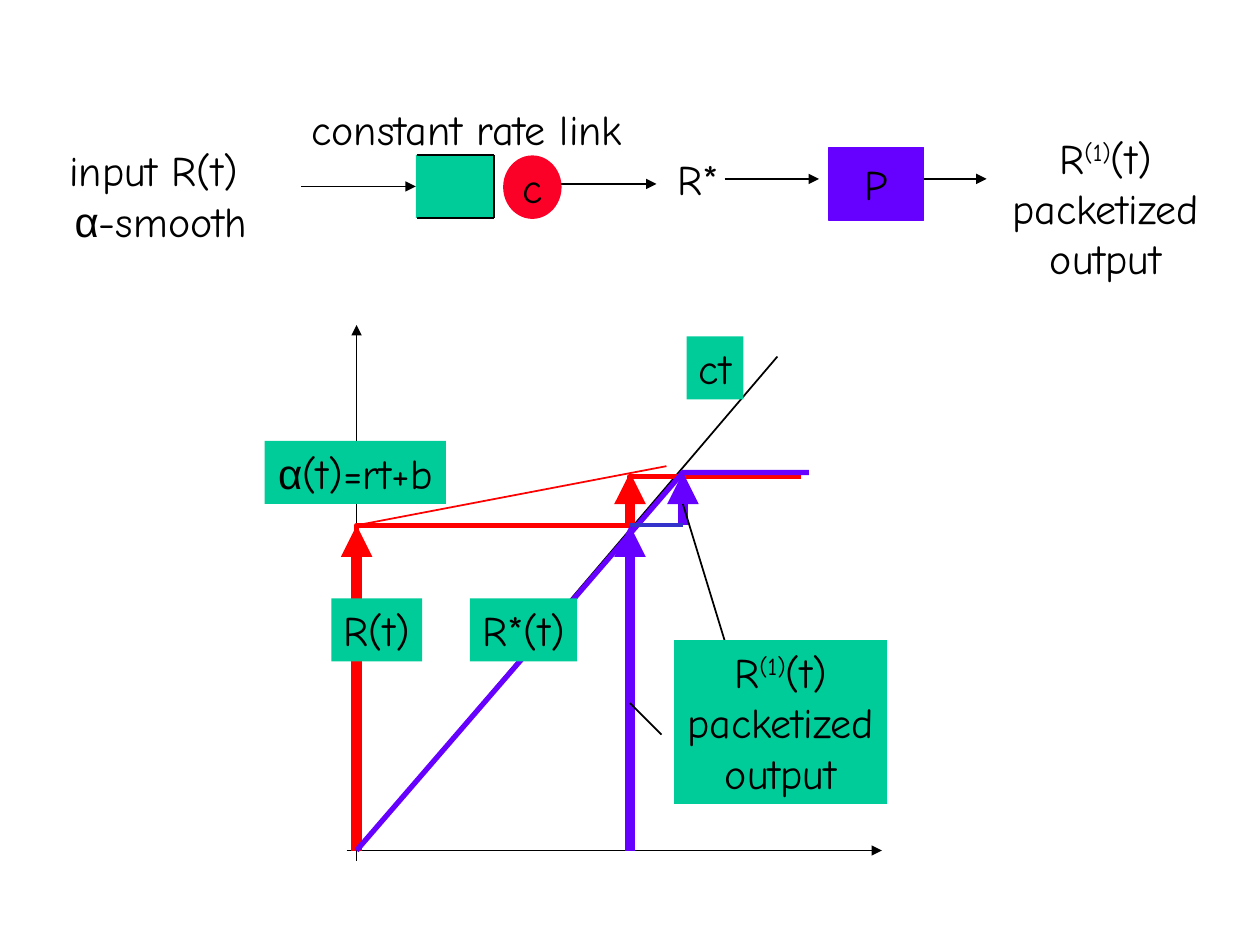
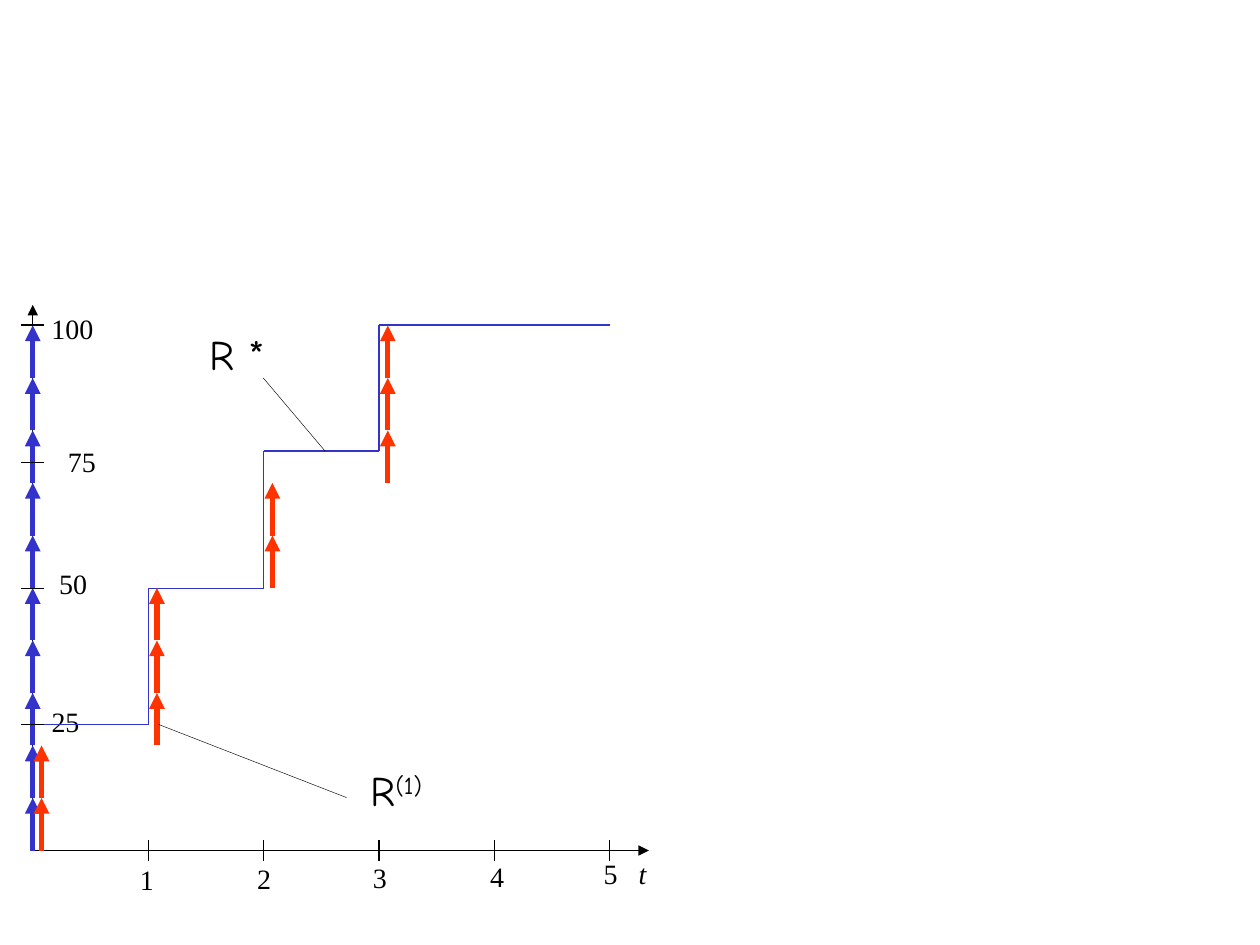
"""Build two slides on packetizers: a system diagram with its curves, and a step plot."""
from itertools import groupby

from lxml.etree import SubElement
from pptx import Presentation
from pptx.dml.color import RGBColor
from pptx.enum.shapes import MSO_CONNECTOR as Connector, MSO_SHAPE as Preset
from pptx.enum.text import MSO_ANCHOR as Anchor, PP_ALIGN as Align
from pptx.oxml.ns import qn
from pptx.util import Inches, Pt

BLACK, WHITE, RED, PURPLE = "000000", "FFFFFF", "FF0000", "6600FF"
GREEN, BLUE, ORANGE, CRIMSON = "00CC99", "3333CC", "FF3300", "FC0128"
HAND, SERIF, GREEK = "Comic Neue", "Times New Roman", "Arial"
SIDE_INSET = 0.04

DIAGRAM_TEXTS = [
    ("input R(t) \nα-smooth", (0.45, 1.1, 1.65, 0.9)),
    ("constant rate link", (2.36, 0.77, 2.69, 0.5)),
    ("R*", (5.28, 1.17, 0.53, 0.5)),
    ("R^(1)^(t)\npacketized\noutput", (7.93, 1, 1.69, 1.3)),
]
QUEUE = (3.3, 1.23, 0.62, 0.5)
QUEUE_EDGES = [(3.31, 1.23), (3.92, 1.23), (3.92, 1.73), (3.31, 1.73)]
SERVERS = [
    ("c", (4, 1.24, 0.45, 0.49), Preset.OVAL, CRIMSON),
    ("P", (6.58, 1.17, 0.75, 0.58), Preset.RECTANGLE, PURPLE),
]
FLOW_ARROWS = [(4.45, 5.21, 1.46), (5.75, 6.5, 1.42), (7.33, 7.83, 1.42)]

CURVES = [
    ([(2.83, 6.75), (6.17, 2.83)], BLACK, 1, False),
    ([(2.75, 6.75), (7, 6.75)], BLACK, 1, True),
    ([(2.83, 6.75), (2.83, 4.17)], RED, 6, True),
    ([(5, 4.17), (5, 3.75)], RED, 6, True),
    ([(2.83, 6.83), (2.83, 2.58)], BLACK, 1, True),
    ([(2.83, 5.83), (2.83, 4.17), (5.29, 3.7)], RED, 1, False),
    ([(2.83, 6.74), (2.83, 4.17), (5, 4.17), (5, 3.78), (6.36, 3.78)], RED, 3, False),
    ([(2.83, 6.75), (5.42, 3.75), (6.42, 3.75)], PURPLE, 3, False),
    ([(5, 6.75), (5, 4.17)], PURPLE, 6, True),
    ([(5.42, 4.17), (5.42, 3.75)], PURPLE, 6, True),
    ([(5.25, 5.83), (5, 5.58)], BLACK, 1, False),
    ([(5.75, 5.08), (5.42, 4)], BLACK, 1, False),
    ([(5, 4.17), (5.42, 4.17)], BLUE, 2.25, False),
]
CURVE_LABELS = [
    ("ct", (5.45, 2.67, 0.45, 0.5)),
    ("R(t)", (2.63, 4.75, 0.72, 0.5)),
    ("α(t)=rt+b", (2.1, 3.5, 1.44, 0.5)),
    ("R^(1)^(t)\npacketized\noutput", (5.35, 5.08, 1.69, 1.3)),
    ("R*(t)", (3.73, 4.75, 0.85, 0.5)),
]

ORIGIN_X, BASE_Y, UNIT, PACKET = 0.26, 6.75, 0.916, 5 / 12
INPUT_PACKETS = 10
OUTPUT_BURSTS = [(0, 2), (2, 5), (5, 7), (7, 10)]
STEP_LEVELS = [5.75, 4.67, 3.58, 2.58]
VALUE_TICKS = [5.75, 4.67, 3.67, 2.58]
TICK_LABELS = [
    ("5", 4.69, 6.75, 0.31), ("1", 1.01, 6.8, 0.31), ("2", 1.94, 6.79, 0.31),
    ("3", 2.86, 6.78, 0.31), ("4", 3.79, 6.77, 0.31), ("25", 0.31, 5.54, 0.42),
    ("50", 0.37, 4.45, 0.42), ("75", 0.44, 3.48, 0.42), ("100", 0.31, 2.42, 0.53),
]
PLOT_LABELS = [("R *", (1.56, 2.56, 0.64, 0.5)), ("R^(1)^", (2.84, 6.02, 0.61, 0.5))]
LEADERS = [[(2.09, 3), (2.58, 3.58)], [(2.75, 6.33), (1.26, 5.75)]]


def color(value):
    return RGBColor.from_string(value)


def write_text(shape, text, font=HAND, size=24, italic=False, anchor=Anchor.TOP):
    frame = shape.text_frame
    frame.word_wrap = False
    frame.margin_left = frame.margin_right = Inches(SIDE_INSET)
    frame.vertical_anchor = anchor
    for index, line in enumerate(text.split("\n")):
        paragraph = frame.paragraphs[0] if index == 0 else frame.add_paragraph()
        paragraph.alignment = Align.CENTER
        for part_index, part in enumerate(line.split("^")):
            for is_greek, letters in groupby(part, lambda letter: letter == "α"):
                run = paragraph.add_run()
                run.text = "".join(letters)
                run.font.name = GREEK if is_greek else font
                run.font.size = Pt(size)
                run.font.italic = italic
                run.font.color.rgb = color(BLACK)
                if part_index % 2:
                    run._r.get_or_add_rPr().set("baseline", "30000")


def add_label(slide, text, box, fill=None, outline=None, **text_format):
    shape = slide.shapes.add_textbox(*map(Inches, box))
    paint(shape, fill, outline, 0.75)
    write_text(shape, text, **text_format)


def paint(shape, fill, outline, width=1):
    if fill:
        shape.fill.solid()
        shape.fill.fore_color.rgb = color(fill)
    else:
        shape.fill.background()
    if outline:
        shape.line.color.rgb = color(outline)
        shape.line.width = Pt(width)
    else:
        shape.line.fill.background()


def add_block(slide, box, preset, fill, outline=None):
    shape = slide.shapes.add_shape(preset, *map(Inches, box))
    shape.shadow.inherit = False
    paint(shape, fill, outline)
    return shape


def add_line(slide, points, stroke=BLACK, width=1, arrow=False):
    corners = [(Inches(x), Inches(y)) for x, y in points]
    if len(corners) > 2:
        builder = slide.shapes.build_freeform(*corners[0], scale=1.0)
        builder.add_line_segments(corners[1:], close=False)
        shape = builder.convert_to_shape()
        shape.shadow.inherit = False
        paint(shape, None, stroke, width)
        return shape
    shape = slide.shapes.add_connector(Connector.STRAIGHT, *corners[0], *corners[1])
    shape.line.color.rgb = color(stroke)
    shape.line.width = Pt(width)
    if arrow:
        SubElement(shape.line._get_or_add_ln(), qn("a:tailEnd"), type="triangle")
    SubElement(shape._element.spPr, qn("a:effectLst"))
    return shape


def add_path(slide, points, **line_format):
    for segment in zip(points, points[1:]):
        add_line(slide, segment, **line_format)


def add_packets(slide, x, first, last, stroke):
    for count in range(first, last):
        ends = [(x, BASE_Y - PACKET * step) for step in (count, count + 1)]
        add_line(slide, ends, stroke, 3, arrow=True)


def build_system_slide(slide):
    for text, box, preset, fill in SERVERS:
        server = add_block(slide, box, preset, fill, fill)
        write_text(server, text, anchor=Anchor.MIDDLE)
    queue = add_block(slide, QUEUE, Preset.RECTANGLE, GREEN)
    add_path(slide, QUEUE_EDGES)
    middle = QUEUE[1] + QUEUE[3] / 2
    arrival = add_line(slide, [(2.39, middle), (QUEUE[0], middle)], arrow=True)
    arrival.end_connect(queue, 1)
    for start, end, y in FLOW_ARROWS:
        add_line(slide, [(start, y), (end, y)], arrow=True)
    for text, box in DIAGRAM_TEXTS:
        add_label(slide, text, box)
    for curve in CURVES:
        add_line(slide, *curve)
    for text, box in CURVE_LABELS:
        add_label(slide, text, box, fill=GREEN)


def build_plot_slide(slide):
    add_label(slide, "t", (4.97, 6.75, 0.26, 0.37), outline=WHITE,
              font=SERIF, size=16, italic=True)
    for text, left, top, width in TICK_LABELS:
        add_label(slide, text, (left, top, width, 0.37), outline=WHITE, font=SERIF, size=16)
    for end in [(5.15, BASE_Y), (ORIGIN_X, 2.42)]:
        add_line(slide, [(ORIGIN_X, BASE_Y), end], width=0.75, arrow=True)
    add_packets(slide, ORIGIN_X, 0, INPUT_PACKETS, BLUE)
    for step in range(1, 6):
        x = ORIGIN_X + UNIT * step
        add_line(slide, [(x, 6.67), (x, 6.83)], width=0.75)
    stairs = []
    for step, level in enumerate(STEP_LEVELS):
        end = 5 if step == 3 else step + 1
        stairs += [(ORIGIN_X + UNIT * step, level), (ORIGIN_X + UNIT * end, level)]
    add_path(slide, stairs, stroke=BLUE, width=0.75)
    for y in VALUE_TICKS:
        add_line(slide, [(0.17, y), (0.35, y)], width=0.75)
    for step, (first, last) in enumerate(OUTPUT_BURSTS):
        add_packets(slide, ORIGIN_X + 0.07 + UNIT * step, first, last, ORANGE)
    for text, box in PLOT_LABELS:
        add_label(slide, text, box, outline=WHITE)
    for leader in LEADERS:
        add_line(slide, leader, width=0.25)


def main():
    presentation = Presentation()
    presentation.slide_width, presentation.slide_height = Inches(10), Inches(7.5)
    for build in (build_system_slide, build_plot_slide):
        build(presentation.slides.add_slide(presentation.slide_layouts[6]))
    presentation.save("out.pptx")


if __name__ == "__main__":
    main()
